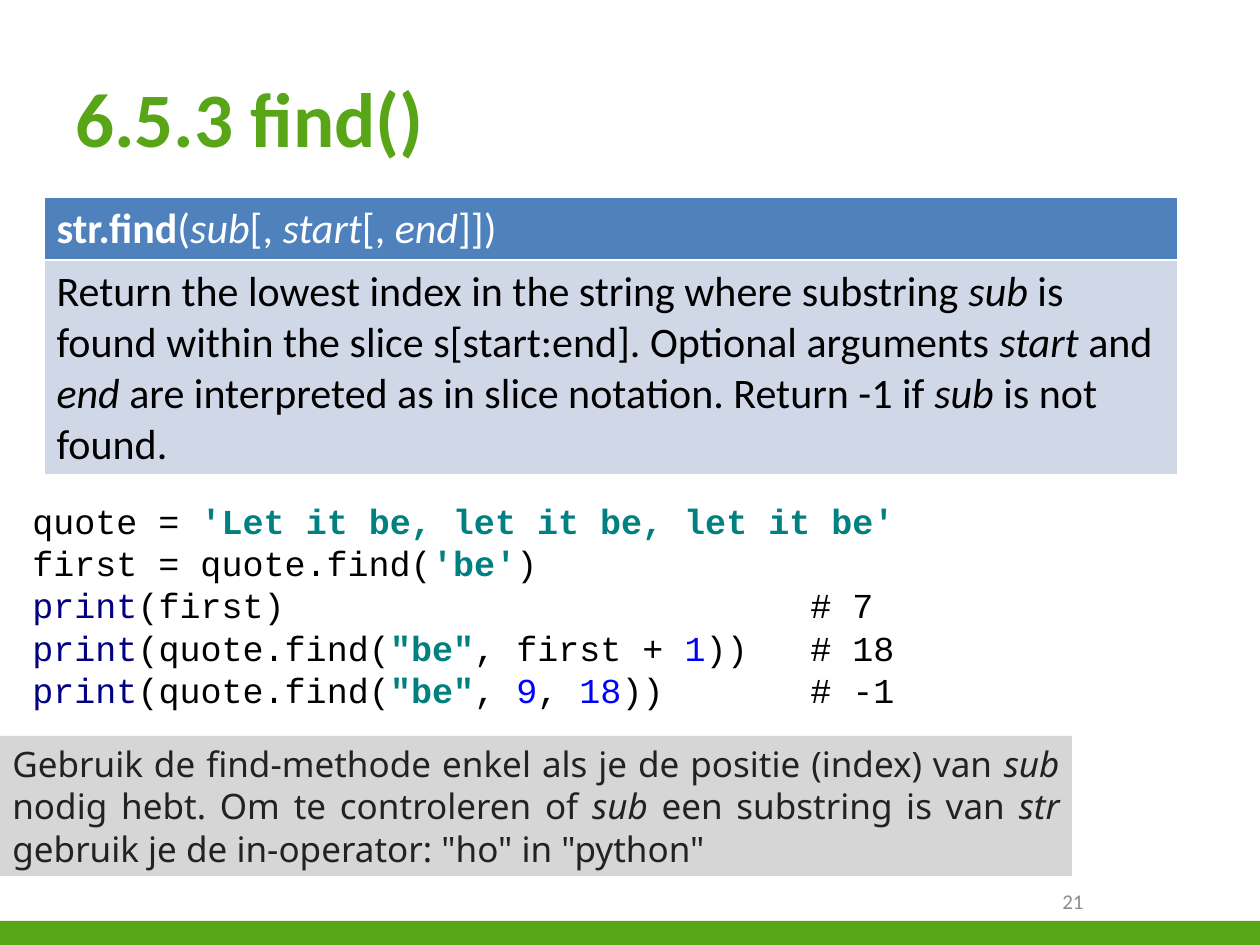
import pptx
import pptx.dml.color
import pptx.enum.shapes
import pptx.enum.text
import pptx.oxml.ns
import pptx.util
from lxml import etree

RGBColor = pptx.dml.color.RGBColor
MSO_ANCHOR = pptx.enum.text.MSO_ANCHOR
PP_ALIGN = pptx.enum.text.PP_ALIGN

GREEN = RGBColor(0x58, 0xA6, 0x18)
BLUE = RGBColor(0x4F, 0x81, 0xBD)
PALE_BLUE = RGBColor(0xD0, 0xD8, 0xE8)
LIGHT_GREY = RGBColor(0xD6, 0xD6, 0xD6)
GREY = RGBColor(0x8C, 0x8C, 0x8C)
DARK = RGBColor(0x22, 0x22, 0x22)
BLACK = RGBColor(0, 0, 0)
WHITE = RGBColor(0xFF, 0xFF, 0xFF)
NAVY = RGBColor(0, 0, 0x80)
TEAL = RGBColor(0, 0x80, 0x80)
NUMBER_BLUE = RGBColor(0, 0, 0xFF)

PX_PER_INCH = 126


def px(n):
    return pptx.util.Emu(round(n * 914400 / PX_PER_INCH))


def set_font(p, name, size, color):
    p.font.name = name
    p.font.size = pptx.util.Pt(size)
    p.font.color.rgb = color


def add_runs(p, parts):
    """Each part is (text, style); style holds b for bold, i for italic."""
    for text, style in parts:
        r = p.add_run()
        r.text = text
        r.font.bold = "b" in style
        r.font.italic = "i" in style


def add_rect(s, box, color):
    sp = s.shapes.add_shape(pptx.enum.shapes.MSO_SHAPE.RECTANGLE, *map(px, box))
    sp.shadow.inherit = False
    sp.fill.solid()
    sp.fill.fore_color.rgb = color
    sp.line.fill.background()
    tf = sp.text_frame
    tf.word_wrap = True
    tf.vertical_anchor = MSO_ANCHOR.MIDDLE
    return tf


def add_label(s, box, text, size, color, align=PP_ALIGN.LEFT, bold=False):
    tf = s.shapes.add_textbox(*map(px, box)).text_frame
    tf.word_wrap = True
    tf.vertical_anchor = MSO_ANCHOR.MIDDLE
    p = tf.paragraphs[0]
    p.text = text
    p.alignment = align
    set_font(p, "Calibri", size, color)
    p.font.bold = bold


def add_method_table(s, box):
    header = [("str.find", "b"), ("(", ""), ("sub", "i"), ("[, ", ""),
              ("start", "i"), ("[, ", ""), ("end", "i"), ("]])", "")]
    body = [("Return the lowest index in the string where substring ", ""),
            ("sub", "i"),
            (" is found within the slice s[start:end]. Optional arguments ", ""),
            ("start", "i"), (" and ", ""), ("end", "i"),
            (" are interpreted as in slice notation. Return -1 if ", ""),
            ("sub", "i"), (" is not found.", "")]
    rows = [(header, 63, BLUE, WHITE), (body, 214, PALE_BLUE, BLACK)]
    table = s.shapes.add_table(len(rows), 1, *map(px, box)).table
    for i, (parts, height, fill, color) in enumerate(rows):
        table.rows[i].height = px(height)
        cell = table.cell(i, 0)
        cell.fill.solid()
        cell.fill.fore_color.rgb = fill
        p = cell.text_frame.paragraphs[0]
        set_font(p, "Calibri", 24, color)
        add_runs(p, parts)


def add_tab_stop(p, pos):
    tabs = etree.Element(pptx.oxml.ns.qn("a:tabLst"))
    etree.SubElement(tabs, pptx.oxml.ns.qn("a:tab"), pos=str(px(pos)), algn="l")
    p.font  # creates the default run properties, which follow the tab list
    p._p.pPr.find(pptx.oxml.ns.qn("a:defRPr")).addprevious(tabs)


def add_code(s, box):
    # Token kinds: k keyword, s string, n number, blank for plain text
    colors = {"k": NAVY, "s": TEAL, "n": NUMBER_BLUE, "": BLACK}
    call = [("print", "k"), ("(quote.find(", ""), ('"be"', "s")]
    lines = [
        [("quote = ", ""), ("'Let it be, let it be, let it be'", "s")],
        [("first = quote.find(", ""), ("'be'", "s"), (")", "")],
        [("print", "k"), ("(first)\t# 7", "")],
        call + [(", first + ", ""), ("1", "n"), ("))\t# 18", "")],
        call + [(", ", ""), ("9", "n"), (", ", ""), ("18", "n"), ("))\t# -1", "")],
    ]
    tf = add_rect(s, box, WHITE)
    for i, tokens in enumerate(lines):
        p = tf.add_paragraph() if i else tf.paragraphs[0]
        p.alignment = PP_ALIGN.LEFT
        p.line_spacing = pptx.util.Pt(24)
        set_font(p, "Courier New", 20, BLACK)
        add_tab_stop(p, 778)
        for text, kind in tokens:
            r = p.add_run()
            r.text = text
            r.font.bold = kind == "s"
            r.font.color.rgb = colors[kind]


def add_tip(s, box):
    p = add_rect(s, box, LIGHT_GREY).paragraphs[0]
    p.alignment = PP_ALIGN.JUSTIFY
    p.line_spacing = pptx.util.Pt(24)
    set_font(p, "Noto Sans", 20, DARK)
    add_runs(p, [
        ("Gebruik de find-methode enkel als je de positie (index) van ", ""),
        ("sub", "i"), (" nodig hebt. Om te controleren of ", ""),
        ("sub", "i"), (" een substring is van ", ""), ("str", "i"),
        (' gebruik je de in-operator: "ho" in "python"', "")])


def main():
    prs = pptx.Presentation()
    prs.slide_width, prs.slide_height = px(1260), px(945)
    s = prs.slides.add_slide(prs.slide_layouts[6])

    # Footer bar, title and page number
    add_rect(s, (0, 921, 1260, 24), GREEN)
    add_label(s, (63, 38, 1134, 158), "6.5.3 find()", 44, GREEN, bold=True)
    add_label(s, (903, 876, 193, 50), "21", 12, GREY, PP_ALIGN.RIGHT)

    # Method description, example and tip
    add_method_table(s, (44, 197, 1134, 277))
    add_tip(s, (0, 736, 1072, 140))
    add_code(s, (20, 493, 1158, 224))

    prs.save("out.pptx")


if __name__ == "__main__":
    main()
